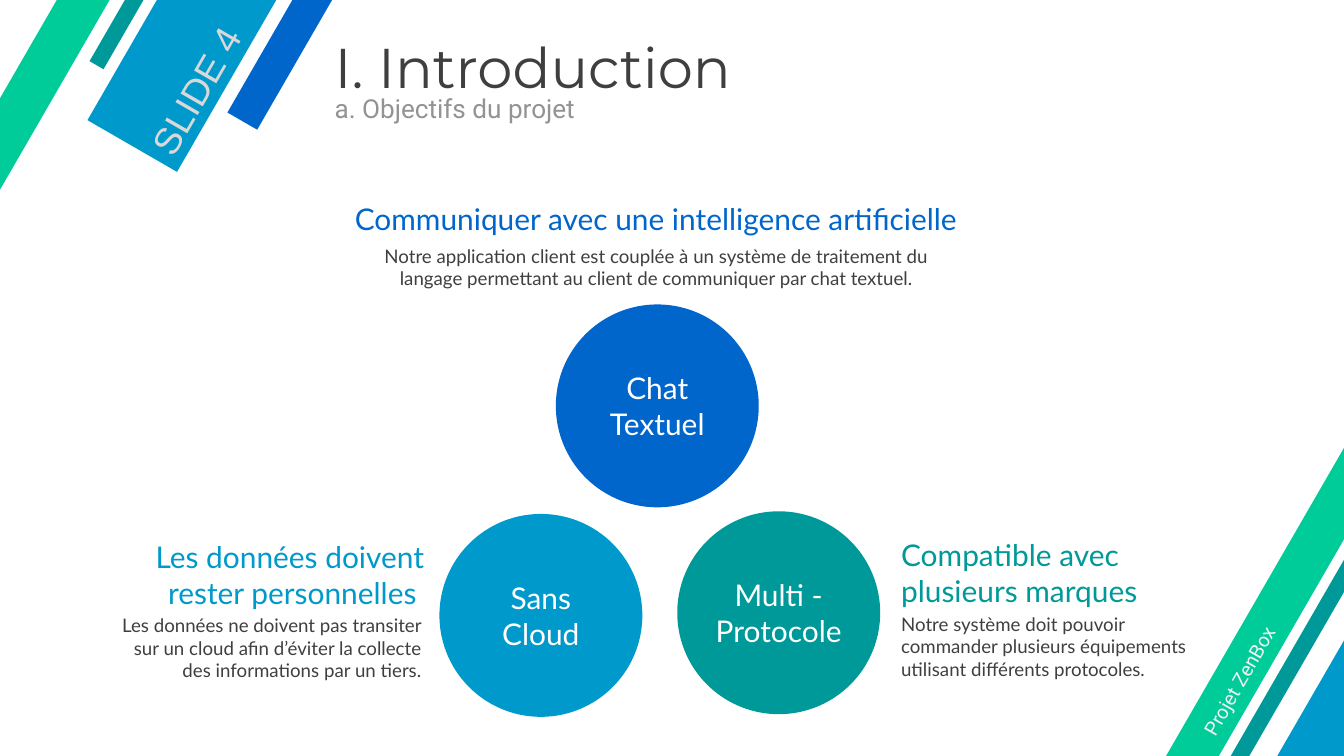
from dataclasses import dataclass

from pptx import Presentation
from pptx import util as u
from pptx.dml.color import RGBColor
from pptx.enum import shapes, text

BLUE, SKY, TEAL, GREEN = "0066CC", "0099CC", "009999", "00CC99"
DARK, WHITE = "3F3F3F", "FFFFFF"
SLANT = 300
CIRCLE_SIZE = 7.67
LEFT, CENTER, RIGHT = text.PP_ALIGN.LEFT, text.PP_ALIGN.CENTER, text.PP_ALIGN.RIGHT
TOP, MIDDLE, BOTTOM = text.MSO_ANCHOR.TOP, text.MSO_ANCHOR.MIDDLE, text.MSO_ANCHOR.BOTTOM
NARROW, WIDE = (0.25, 0.13), (0.46, 0.23)  # horizontal and vertical insets


@dataclass
class Box:
    """A place on the slide, in centimetres."""
    left: float
    top: float
    width: float
    height: float

    def lengths(self) -> list:
        return [u.Cm(v) for v in (self.left, self.top, self.width, self.height)]


@dataclass
class Style:
    size: float
    color: str
    font: str = "Lato"
    align: text.PP_ALIGN = LEFT
    anchor: text.MSO_ANCHOR = TOP
    insets: tuple = NARROW


@dataclass
class Band:
    box: Box
    color: str


@dataclass
class Goal:
    """A circle with its heading and explanation."""
    label: str
    heading: str
    detail: str
    color: str
    align: text.PP_ALIGN
    circle_at: tuple
    heading_box: Box
    detail_box: Box


BANDS = [
    # Top left corner
    Band(Box(-3.61, -18.19, 51.08, 1.3), BLUE),
    Band(Box(-7.75, -18.52, 51, 3.91), SKY),
    Band(Box(-9.12, -19.96, 51.08, 0.61), TEAL),
    Band(Box(-14.81, -13.89, 50.95, 1.73), GREEN),
    # Bottom right corner
    Band(Box(34.75, 9.8, 51, 3.91), SKY),
    Band(Box(32.77, 8.46, 51.08, 0.61), TEAL),
    Band(Box(27.2, 14.55, 50.95, 1.73), GREEN),
]

GOALS = [
    Goal("Chat Textuel", "Communiquer avec une intelligence artificielle",
         "Notre application client est couplée à un système de traitement du "
         "langage permettant au client de communiquer par chat textuel.",
         BLUE, CENTER, (21.01, 11.51),
         Box(13, 6.07, 23.6, 3), Box(14.2, 9.12, 21.21, 1.96)),
    Goal("Sans Cloud", "Les données doivent rester personnelles ",
         "Les données ne doivent pas transiter sur un cloud afin d’éviter la "
         "collecte des informations par un tiers.",
         SKY, RIGHT, (16.61, 19.43),
         Box(3.89, 20.22, 12.4, 3), Box(3.78, 23.09, 12.4, 3.68)),
    Goal("Multi -\nProtocole", "Compatible avec plusieurs marques",
         "Notre système doit pouvoir commander plusieurs équipements\n"
         "utilisant différents protocoles.",
         TEAL, LEFT, (25.6, 19.33),
         Box(33.81, 20.12, 12.4, 3), Box(33.81, 23.04, 12.4, 3.68)),
]


def rgb(value: str) -> RGBColor:
    return RGBColor.from_string(value)


def write(shape, words: str, style: Style) -> None:
    frame = shape.text_frame
    frame.text = words
    frame.word_wrap = True
    frame.vertical_anchor = style.anchor
    side, edge = (u.Cm(v) for v in style.insets)
    frame.margin_left = frame.margin_right = side
    frame.margin_top = frame.margin_bottom = edge
    for paragraph in frame.paragraphs:
        paragraph.alignment = style.align
        for run in paragraph.runs:
            run.font.name = style.font
            run.font.size = u.Pt(style.size)
            run.font.color.rgb = rgb(style.color)


def add_text(slide, words: str, box: Box, style: Style, rotation: float = 0):
    label = slide.shapes.add_textbox(*box.lengths())
    label.rotation = rotation
    write(label, words, style)
    return label


def add_filled(slide, kind: shapes.MSO_SHAPE, box: Box, color: str, rotation: float = 0):
    shape = slide.shapes.add_shape(kind, *box.lengths())
    shape.rotation = rotation
    shape.shadow.inherit = False
    shape.fill.solid()
    shape.fill.fore_color.rgb = rgb(color)
    shape.line.fill.background()
    return shape


def add_goal(slide, goal: Goal) -> None:
    circle = add_filled(slide, shapes.MSO_SHAPE.OVAL,
                        Box(*goal.circle_at, CIRCLE_SIZE, CIRCLE_SIZE), goal.color)
    write(circle, goal.label, Style(32, WHITE, align=CENTER, anchor=MIDDLE))
    add_text(slide, goal.heading, goal.heading_box,
             Style(32, goal.color, align=goal.align, anchor=BOTTOM))
    add_text(slide, goal.detail, goal.detail_box, Style(20, DARK, align=goal.align))


def main() -> None:
    deck = Presentation()
    deck.slide_width, deck.slide_height = u.Cm(50.8), u.Cm(28.58)
    slide = deck.slides.add_slide(deck.slide_layouts[6])

    # Slanted corner bands and the labels on them
    for band in BANDS:
        add_filled(slide, shapes.MSO_SHAPE.RECTANGLE, band.box, band.color, SLANT)
    add_text(slide, "SLIDE 4", Box(3.73, 1.68, 8.43, 1.52),
             Style(40, "D8D8D8", "Arial", anchor=MIDDLE, insets=WIDE), SLANT)
    add_text(slide, "Projet ZenBox", Box(41.43, 20.4, 16.08, 1.52),
             Style(21, "F2F2F2", "Roboto", anchor=MIDDLE, insets=WIDE), SLANT)

    # Title and subtitle
    add_text(slide, "I. Introduction", Box(12.19, 1.14, 38, 2.74),
             Style(60, DARK, "Montserrat", anchor=MIDDLE, insets=WIDE))
    subtitle = add_text(slide, "a. Objectifs du projet", Box(12.19, 3.4, 38, 1.47),
                        Style(28, "939393", "Roboto", insets=WIDE))
    subtitle.text_frame.paragraphs[0].line_spacing = u.Pt(30)

    # Project goals
    for goal in GOALS:
        add_goal(slide, goal)

    deck.save("out.pptx")


if __name__ == "__main__":
    main()
